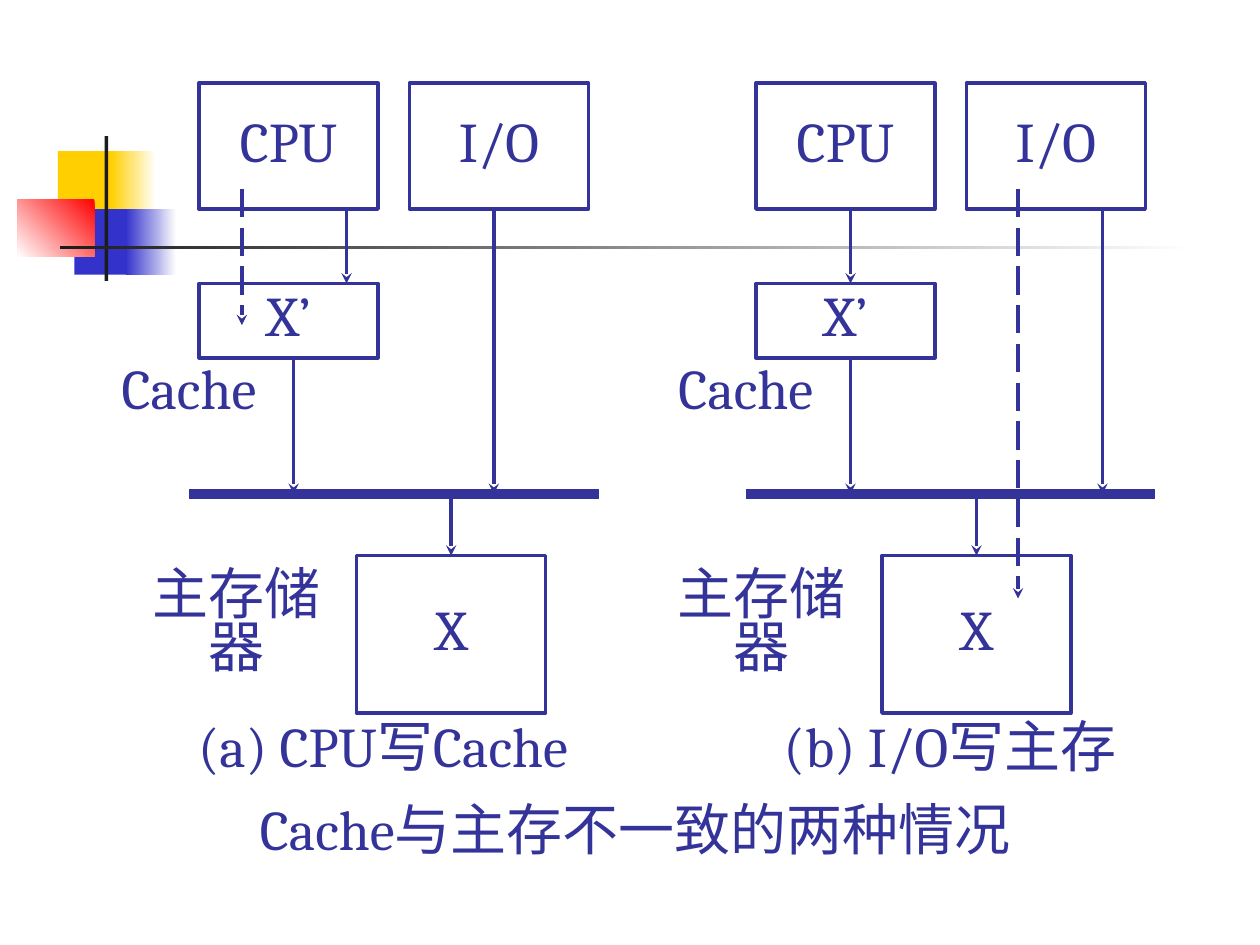
from lxml import etree
from pptx import Presentation
from pptx.dml.color import RGBColor
from pptx.enum.dml import MSO_LINE
from pptx.enum.shapes import MSO_CONNECTOR, MSO_SHAPE
from pptx.enum.text import MSO_ANCHOR, PP_ALIGN
from pptx.oxml.ns import qn
from pptx.util import Inches, Pt

RECTANGLE = MSO_SHAPE.RECTANGLE
STRAIGHT = MSO_CONNECTOR.STRAIGHT
LONG_DASH = MSO_LINE.LONG_DASH
MIDDLE = MSO_ANCHOR.MIDDLE
CENTER = PP_ALIGN.CENTER

INDIGO = RGBColor(0x33, 0x33, 0x99)
WHITE = RGBColor(0xFF, 0xFF, 0xFF)
YELLOW = RGBColor(0xFF, 0xCF, 0x01)
BLUE = RGBColor(0x33, 0x33, 0xCC)
RED = RGBColor(0xFF, 0x00, 0x00)
BLACK = RGBColor(0x1C, 0x1C, 0x1C)

TOP = 0
BUS_Y = 3.92

prs = Presentation()
prs.slide_width, prs.slide_height = Inches(10), Inches(7.5)
slide = prs.slides.add_slide(prs.slide_layouts[6])
shapes = slide.shapes


def add_label(text, left, top, width, height, boxed=False):
    place = [Inches(v) for v in (left, top, width, height)]
    if boxed:
        label = shapes.add_shape(RECTANGLE, *place)
        label.shadow.inherit = False
        label.fill.background()
        label.line.color.rgb = INDIGO
        label.line.width = Pt(2)
    else:
        label = shapes.add_textbox(*place)
    frame = label.text_frame
    frame.word_wrap = False
    frame.vertical_anchor = MIDDLE
    frame.margin_left = frame.margin_right = Inches(0.08)
    frame.margin_top = frame.margin_bottom = Inches(0.04)
    paragraph = frame.paragraphs[0]
    paragraph.alignment = CENTER
    paragraph.line_spacing = 0.8
    run = paragraph.add_run()
    run.text = text
    run.font.name = "Cambria"
    run.font.size = Pt(32)
    run.font.color.rgb = INDIGO
    return label


def add_line(x1, y1, x2, y2, width=2, arrow=True, dashed=False):
    line = shapes.add_connector(STRAIGHT, *[Inches(v) for v in (x1, y1, x2, y2)])
    line.line.color.rgb = INDIGO
    line.line.width = Pt(width)
    if dashed:
        line.line.dash_style = LONG_DASH
    if arrow:
        etree.SubElement(line.line._get_or_add_ln(), qn("a:tailEnd"), type="stealth")
    etree.SubElement(line._element.spPr, qn("a:effectLst"))
    return line


# Corner ornament: left, top, width, height, colours, gradient angle
ornament = [
    (0.46, 1.2, 0.48, 0.52, [YELLOW], None),
    (0.88, 1.2, 0.36, 0.52, [WHITE, YELLOW], 180),
    (0.59, 1.66, 0.46, 0.52, [BLUE], None),
    (1, 1.66, 0.4, 0.52, [WHITE, BLUE], 180),
    (0.14, 1.58, 0.61, 0.46, [RED, WHITE], 225),
    (0.83, 1.08, 0.03, 1.15, [BLACK], None),
    (0.48, 1.95, 9, 0.03, [WHITE, BLACK], 180),
]
for left, top, width, height, colours, angle in ornament:
    block = shapes.add_shape(RECTANGLE, *[Inches(v) for v in (left, top, width, height)])
    block.shadow.inherit = False
    block.line.fill.background()
    if angle is None:
        block.fill.solid()
        block.fill.fore_color.rgb = colours[0]
    else:
        block.fill.gradient()
        block.fill.gradient_angle = angle
        for stop, colour in zip(block.fill.gradient_stops, colours):
            stop.color.rgb = colour

# Two diagrams: CPU left, memory left, Cache label left, arrow positions,
# and the dashed path of the write (x, end y)
diagrams = [
    (1.58, 2.83, 0.75, 2.75, 2.33, 3.92, (1.92, 2.58)),
    (6, 7, 5.17, 6.75, 6.75, 8.75, (8.08, 4.75)),
]
for cpu_x, memory_x, cache_x, cpu_arrow, cache_arrow, io_arrow, write in diagrams:
    # Processor, cache and I/O above the bus
    add_label("CPU", cpu_x, 0.66, 1.42, 1, boxed=True)
    add_label("I/O", cpu_x + 1.67, 0.66, 1.42, 1, boxed=True)
    add_label("X’", cpu_x, 2.25, 1.42, 0.59, boxed=True)
    add_label("Cache", cache_x, 2.83, 1.5, 0.58)
    add_line(cpu_x - 0.08, BUS_Y, cpu_x + 3.17, BUS_Y, width=6, arrow=False)
    add_line(cpu_arrow, 1.67, cpu_arrow, 2.25)
    add_line(cache_arrow, 2.83, cache_arrow, BUS_Y)
    add_line(io_arrow, 1.67, io_arrow, BUS_Y)

    # Main memory below the bus
    memory = add_label("X", memory_x, 4.41, 1.5, 1.25, boxed=True)
    add_label("主存储器", memory_x - 1.83, 4.67, 1.75, 0.58)
    memory_arrow = add_line(memory_x + 0.75, BUS_Y, memory_x + 0.75, 4.41)
    memory_arrow.end_connect(memory, TOP)

    # Path of the write
    write_x, write_end = write
    add_line(write_x, 1.5, write_x, write_end, dashed=True)

# Captions
add_label("(a) CPU写Cache", 1.25, 5.67, 3.58, 0.58)
add_label("(b) I/O写主存", 6.08, 5.67, 2.92, 0.58)
add_label("Cache与主存不一致的两种情况", 1.92, 6.33, 6.25, 0.58)

prs.save("out.pptx")
